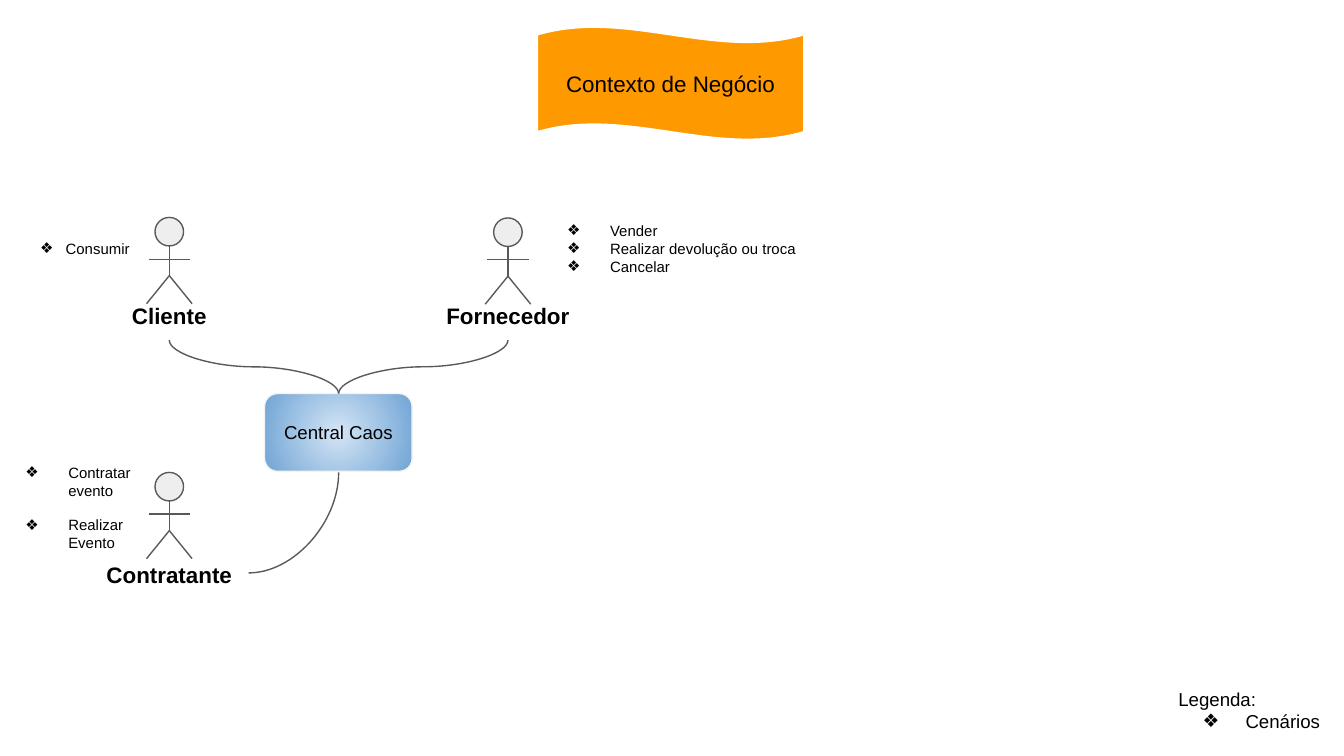
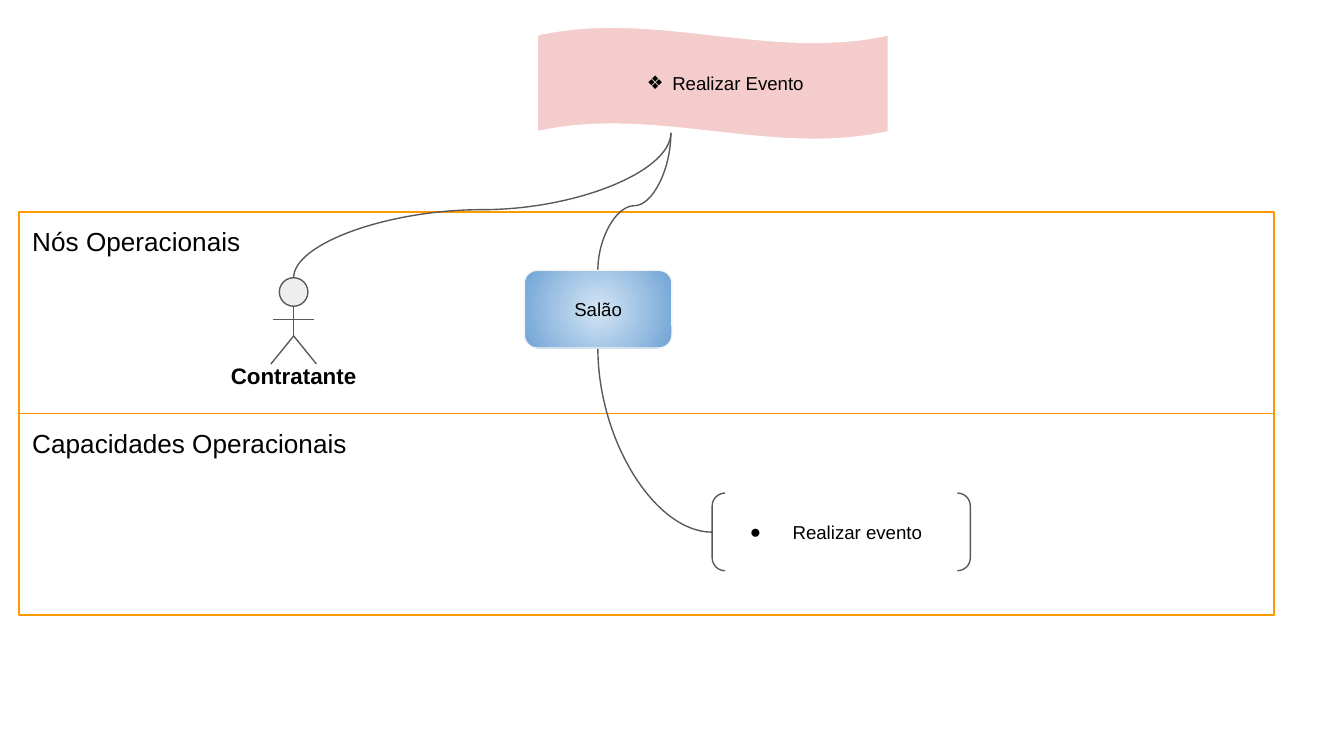
from dataclasses import dataclass

from lxml import etree
from pptx import Presentation
from pptx import util as u
from pptx.dml.color import RGBColor
from pptx.enum import shapes, text
from pptx.oxml.ns import qn

# Shared look
FONT = "Arial"
BLACK, WHITE, STROKE, HEAD = "000000", "FFFFFF", "595959", "EEEEEE"
ORANGE, PINK = "FF9900", "F4CCCC"
NODE_LIGHT, NODE_DARK, NODE_EDGE = "D4E5F5", "70A4D5", "F3F3F3"
INSET = 0.25
DIAMOND, DOT = "❖", "●"
TITLE_LEFT, TITLE_TOP, TITLE_HEIGHT = 10.16, 0.51, 2.13
NODE_WIDTH, NODE_HEIGHT = 2.79, 1.47
NARROW, WIDE = (0.94, 0.48), (1.27, 0.81)  # bullet text indent, hanging part

Point = tuple[float, float]


# All lengths below are in centimetres
@dataclass(frozen=True)
class Box:
    left: float
    top: float
    width: float
    height: float

    def lengths(self) -> list:
        return [u.Cm(v) for v in (self.left, self.top, self.width, self.height)]


@dataclass(frozen=True)
class Actor:
    name: str
    center: float
    top: float
    name_drop: float = 1.35


@dataclass(frozen=True)
class Scenarios:
    lines: list[str]
    box: Box
    indent: tuple[float, float] = WIDE
    size: float = 8
    heading: bool = False
    gap: float = 0
    bullet: str = DIAMOND
    anchor: text.MSO_ANCHOR = text.MSO_ANCHOR.TOP


@dataclass(frozen=True)
class Curve:
    start: Point
    end: Point
    bend: float | None = 0.5  # None gives a single quarter turn


# Formatting
def color(value: str) -> RGBColor:
    return RGBColor.from_string(value)


def set_bullet(paragraph, bullet: str | None, indent: tuple[float, float]) -> None:
    props = paragraph._p.get_or_add_pPr()
    margin, hanging = indent if bullet else (0, 0)
    props.set("marL", str(u.Cm(margin)))
    props.set("indent", str(-u.Cm(hanging)))
    if not bullet:
        etree.SubElement(props, qn("a:buNone"))
        return
    tint = etree.SubElement(props, qn("a:buClr"))
    etree.SubElement(tint, qn("a:srgbClr"), val=BLACK)
    etree.SubElement(props, qn("a:buFont"), typeface=FONT)
    etree.SubElement(props, qn("a:buChar"), char=bullet)


def write(shape, lines: list[str], *, size: float, bold: bool = False,
          align=text.PP_ALIGN.LEFT, anchor=text.MSO_ANCHOR.TOP,
          bullet: str | None = None, indent: tuple[float, float] = WIDE,
          heading: bool = False, gap: float = 0) -> None:
    frame = shape.text_frame
    frame.word_wrap = True
    frame.auto_size = text.MSO_AUTO_SIZE.NONE
    frame.vertical_anchor = anchor
    frame.margin_left = frame.margin_right = u.Cm(INSET)
    frame.margin_top = frame.margin_bottom = u.Cm(INSET)
    for index, line in enumerate(lines):
        paragraph = frame.add_paragraph() if index else frame.paragraphs[0]
        paragraph.alignment = align
        paragraph.space_before = u.Pt(gap if index else 0)
        paragraph.space_after = u.Pt(0)
        set_bullet(paragraph, None if heading and index == 0 else bullet, indent)
        run = paragraph.add_run()
        run.text = line
        run.font.name, run.font.size, run.font.bold = FONT, u.Pt(size), bold
        run.font.color.rgb = color(BLACK)


def place(placeholder, box: Box) -> None:
    (placeholder.left, placeholder.top,
     placeholder.width, placeholder.height) = box.lengths()


# Basic parts
def add_outline(parent, kind, box: Box, line: str, fill: str | None = None):
    shape = parent.add_shape(kind, *box.lengths())
    shape.shadow.inherit = False
    if fill:
        shape.fill.solid()
        shape.fill.fore_color.rgb = color(fill)
    else:
        shape.fill.background()
    shape.line.color.rgb = color(line)
    shape.line.width = u.Pt(0.75)
    return shape


def add_line(parent, start: Point, end: Point, kind=shapes.MSO_CONNECTOR.STRAIGHT):
    line = parent.add_connector(kind, *(u.Cm(v) for v in (*start, *end)))
    line.line.color.rgb = color(STROKE)
    line.line.width = u.Pt(0.75)
    etree.SubElement(line._element.spPr, qn("a:effectLst"))
    return line


def add_curve(slide, curve: Curve) -> None:
    """A curve that leaves its start vertically: a turned horizontal connector."""
    (x1, y1), (x2, y2) = curve.start, curve.end
    mid_x, mid_y = (x1 + x2) / 2, (y1 + y2) / 2
    half_w, half_h = abs(y2 - y1) / 2, abs(x2 - x1) / 2
    line = add_line(slide.shapes, (mid_x - half_w, mid_y - half_h),
                    (mid_x + half_w, mid_y + half_h), shapes.MSO_CONNECTOR.CURVE)
    props = line._element.spPr
    frame, geometry = props.find(qn("a:xfrm")), props.find(qn("a:prstGeom"))
    rightward, downward = x2 > x1, y2 > y1
    frame.set("rot", str((270 if rightward else 90) * 60000))
    if rightward and downward:
        frame.set("flipH", "1")
    if curve.bend is None:
        geometry.set("prst", "curvedConnector2")
    else:
        etree.SubElement(geometry.find(qn("a:avLst")), qn("a:gd"),
                         name="adj1", fmla=f"val {round(curve.bend * 100000)}")


# Diagram parts
def add_title(slide, title: str, width: float, fill: str, size: float,
              bullet: str | None = None) -> None:
    box = Box(TITLE_LEFT, TITLE_TOP, width, TITLE_HEIGHT)
    banner = add_outline(slide.shapes, shapes.MSO_SHAPE.WAVE, box, WHITE, fill)
    banner.adjustments[0] = 0.07
    slide.shapes.title._element.addprevious(banner._element)
    place(slide.shapes.title, box)
    write(slide.shapes.title, [title], size=size, align=text.PP_ALIGN.CENTER,
          anchor=text.MSO_ANCHOR.MIDDLE, bullet=bullet, indent=NARROW)


def add_node(slide, name: str, left: float, top: float) -> None:
    node = add_outline(slide.shapes, shapes.MSO_SHAPE.ROUNDED_RECTANGLE,
                       Box(left, top, NODE_WIDTH, NODE_HEIGHT), NODE_EDGE)
    node.fill.gradient()
    for stop, tint, position in zip(node.fill.gradient_stops,
                                    (NODE_LIGHT, NODE_DARK), (0, 1)):
        stop.color.rgb = color(tint)
        stop.position = position
    gradient = node._element.spPr.find(qn("a:gradFill"))
    gradient.remove(gradient.find(qn("a:lin")))
    radial = etree.SubElement(gradient, qn("a:path"), path="circle")
    etree.SubElement(radial, qn("a:fillToRect"),
                     {side: "50000" for side in "ltrb"})
    write(node, [name], size=10, align=text.PP_ALIGN.CENTER,
          anchor=text.MSO_ANCHOR.MIDDLE)


def add_actor(slide, actor: Actor) -> None:
    figure = slide.shapes.add_group_shape().shapes
    x, y = actor.center, actor.top
    head, arms, hips, feet = 0.54, 0.79, 1.1, 1.63
    add_outline(figure, shapes.MSO_SHAPE.FLOWCHART_CONNECTOR,
                Box(x - head / 2, y, head, head), STROKE, HEAD)
    add_line(figure, (x, y + head), (x, y + hips))
    add_line(figure, (x - 0.39, y + arms), (x + 0.39, y + arms))
    for reach in (-0.43, 0.43):
        add_line(figure, (x, y + hips), (x + reach, y + feet))
    name = figure.add_textbox(*Box(x - 1.5, y + actor.name_drop, 3, 0.97).lengths())
    write(name, [actor.name], size=12, bold=True, align=text.PP_ALIGN.CENTER)


def add_scenarios(placeholder, group: Scenarios) -> None:
    place(placeholder, group.box)
    write(placeholder, group.lines, size=group.size, bullet=group.bullet,
          indent=group.indent, heading=group.heading, gap=group.gap,
          anchor=group.anchor)


def fill_lists(slide, groups: list[Scenarios]) -> None:
    bodies = [p for p in slide.placeholders if p.placeholder_format.idx > 0]
    for body, group in zip(bodies, groups):
        add_scenarios(body, group)


# Slide 1: business context
def build_context(deck) -> None:
    slide = deck.slides.add_slide(deck.slide_layouts.get_by_name("Comparison"))
    add_title(slide, "Contexto de Negócio", 5.03, ORANGE, 12)
    add_node(slide, "Central Caos", 5, 7.44)
    for actor in (Actor("Cliente", 3.2, 4.11), Actor("Fornecedor", 9.6, 4.12),
                  Actor("Contratante", 3.2, 8.93, 1.43)):
        add_actor(slide, actor)
    for curve in (Curve((3.2, 6.43), (6.4, 7.44)),
                  Curve((9.6, 6.43), (6.4, 7.44)),
                  Curve((6.4, 8.93), (4.7, 10.83), None)):
        add_curve(slide, curve)
    fill_lists(slide, [
        Scenarios(["Consumir"], Box(0.05, 4.27, 2.72, 0.86), NARROW),
        Scenarios(["Vender", "Realizar devolução ou troca", "Cancelar"],
                  Box(10.01, 3.94, 5.46, 1.55)),
        Scenarios(["Contratar evento", "Realizar Evento"],
                  Box(-0.23, 8.51, 3.66, 0.97), gap=9),
        Scenarios(["Legenda:", "Cenários"], Box(22.02, 12.75, 3.23, 1.32),
                  size=10, heading=True),
    ])


# Slide 2: event scenario
def build_event(deck) -> None:
    slide = deck.slides.add_slide(
        deck.slide_layouts.get_by_name("Title and Content"))
    lane_top, lane_height = 4.01, 3.81
    for row, name in enumerate(("Nós Operacionais", "Capacidades Operacionais")):
        lane = add_outline(
            slide.shapes, shapes.MSO_SHAPE.RECTANGLE,
            Box(0.36, lane_top + row * lane_height, 23.72, lane_height), ORANGE)
        write(lane, [name], size=14)
    add_title(slide, "Realizar Evento", 6.63, PINK, 10, DIAMOND)
    add_actor(slide, Actor("Contratante", 5.55, 5.25))
    banner_foot = (12.68, 2.51)
    for curve in (Curve((11.3, 5.11), banner_foot, 0.47),
                  Curve((5.55, 5.25), banner_foot, 0.47),
                  Curve((11.3, 6.58), (13.46, 10.06), None)):
        add_curve(slide, curve)
    capability = Box(13.46, 9.32, 4.88, 1.47)
    add_outline(slide.shapes, shapes.MSO_SHAPE.DOUBLE_BRACKET, capability, STROKE)
    fill_lists(slide, [Scenarios(["Realizar evento"], capability, size=10, bullet=DOT,
                                 anchor=text.MSO_ANCHOR.MIDDLE)])
    add_node(slide, "Salão", 9.91, 5.11)


def main() -> None:
    deck = Presentation()
    deck.slide_width, deck.slide_height = u.Cm(25.4), u.Cm(14.29)
    build_context(deck)
    build_event(deck)
    deck.save("out.pptx")


if __name__ == "__main__":
    main()
